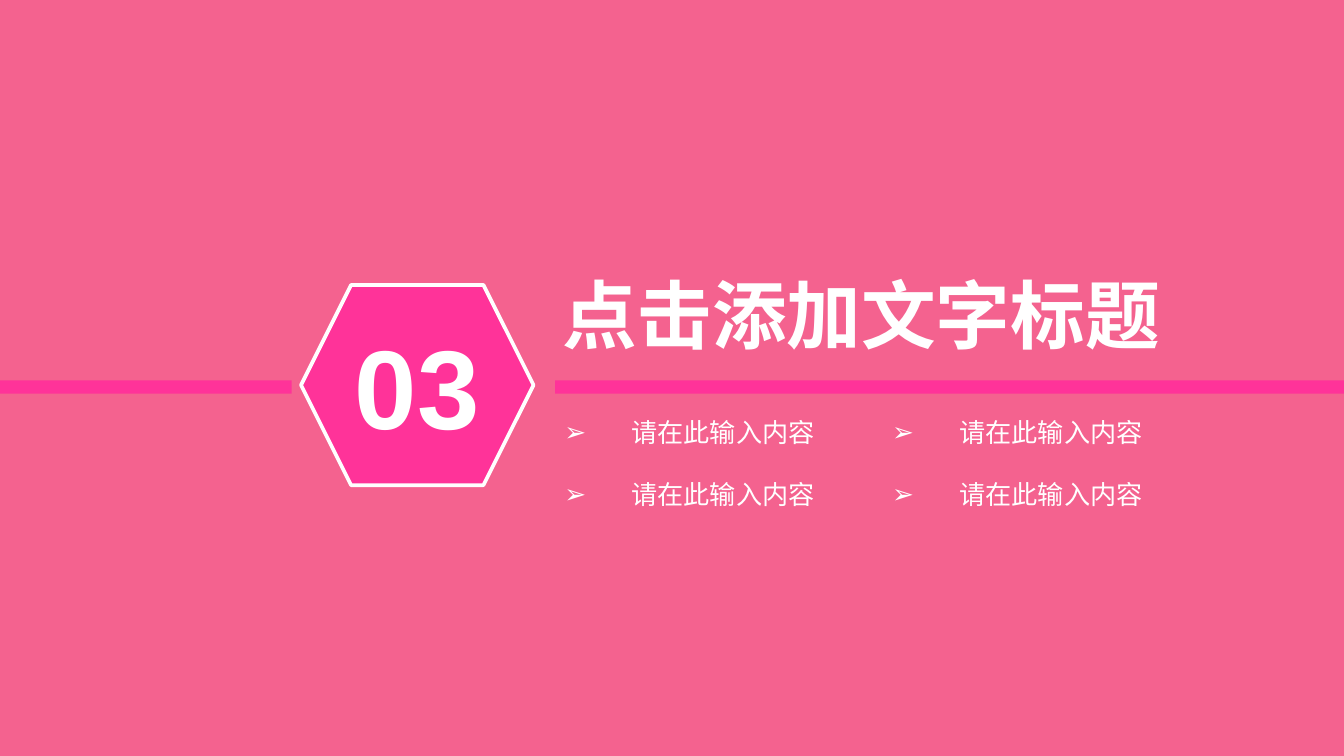
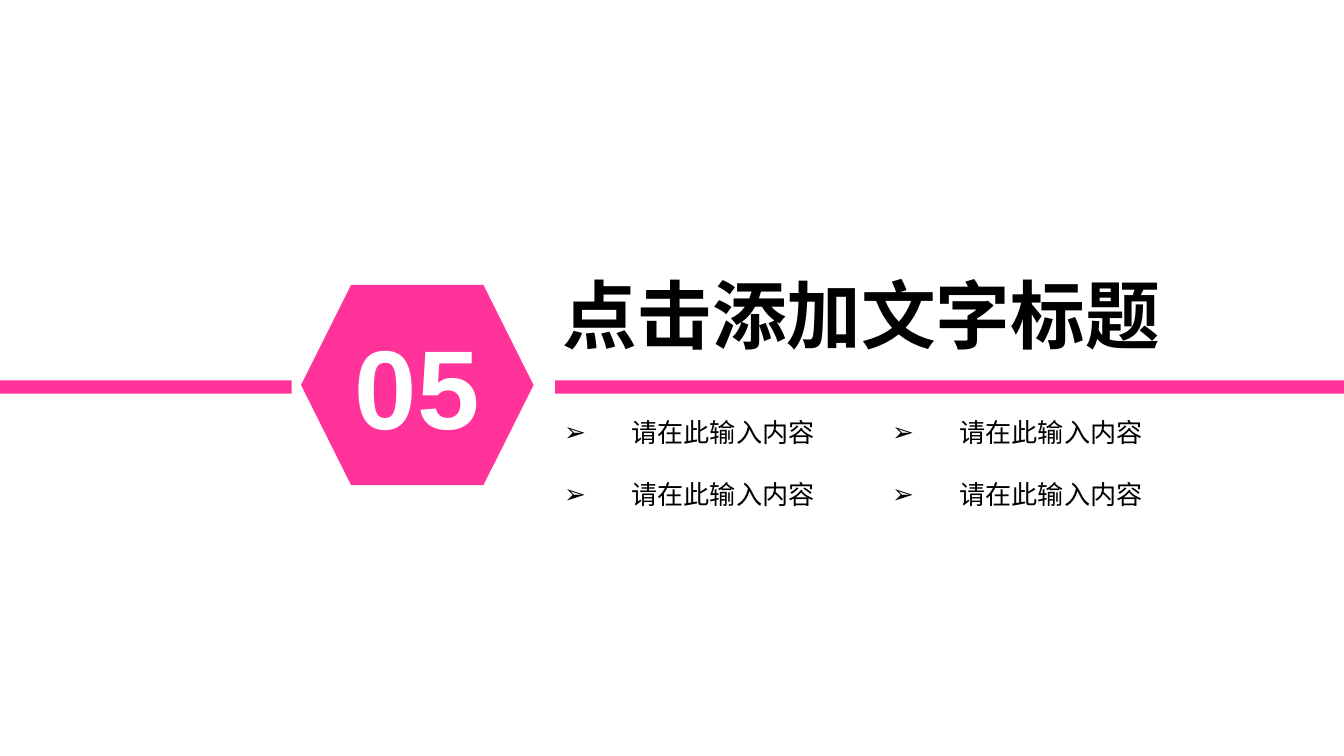
from itertools import product

from lxml import etree
from pptx import Presentation
from pptx.dml.color import RGBColor
from pptx.enum import shapes, text
from pptx.oxml.ns import qn
from pptx.util import Inches, Pt

PINK = RGBColor(0xF4, 0x62, 0x8F)
MAGENTA = RGBColor(0xFF, 0x33, 0x99)
WHITE = RGBColor(0xFF, 0xFF, 0xFF)
BLACK = RGBColor(0x00, 0x00, 0x00)
LATIN_FONT = "Arial"
CHINESE_FONT = "Noto Sans CJK SC"

HEADING = "点击添加文字标题"
TOPIC = "请在此输入内容"
TOPIC_COLUMNS = (4.1, 6.54)
TOPIC_ROWS = (3.05, 3.51)


class SectionDeck:
    def __init__(self):
        self.prs = Presentation()
        self.prs.slide_width = Inches(10)
        self.prs.slide_height = Inches(10) * 9 // 16
        self.slide = None
        self.ink = BLACK

    def new_slide(self, background, ink):
        self.slide = self.prs.slides.add_slide(self.prs.slide_layouts[6])
        fill = self.slide.background.fill
        fill.solid()
        fill.fore_color.rgb = background
        self.ink = ink

    def shape(self, kind, left, top, width, height):
        figure = self.slide.shapes.add_shape(
            kind, Inches(left), Inches(top), Inches(width), Inches(height))
        figure.shadow.inherit = False
        figure.fill.solid()
        figure.fill.fore_color.rgb = MAGENTA
        figure.line.fill.background()
        return figure

    def band(self, left, width):
        self.shape(shapes.MSO_SHAPE.RECTANGLE, left, 2.83, width, 0.1)

    def number(self, label, outline=None):
        badge = self.shape(shapes.MSO_SHAPE.HEXAGON, 2.24, 2.12, 1.73, 1.49)
        if outline is not None:
            badge.line.color.rgb = outline
            badge.line.width = Pt(2)
        frame = badge.text_frame
        frame.vertical_anchor = text.MSO_ANCHOR.MIDDLE
        paragraph = frame.paragraphs[0]
        paragraph.text = label
        paragraph.alignment = text.PP_ALIGN.CENTER
        self.style(paragraph, 60, WHITE, LATIN_FONT, bold=True)

    def text_line(self, words, left, top, width, height, size,
                  bold=False, bullet=None):
        box = self.slide.shapes.add_textbox(
            Inches(left), Inches(top), Inches(width), Inches(height))
        frame = box.text_frame
        frame.word_wrap = False
        frame.auto_size = text.MSO_AUTO_SIZE.SHAPE_TO_FIT_TEXT
        paragraph = frame.paragraphs[0]
        paragraph.text = words
        if bullet:
            self.add_bullet(paragraph, bullet)
        self.style(paragraph, size, self.ink, CHINESE_FONT, bold)

    @staticmethod
    def add_bullet(paragraph, symbol):
        properties = paragraph._p.get_or_add_pPr()
        properties.set("marL", str(Inches(0.5)))
        properties.set("indent", str(-Inches(0.5)))
        etree.SubElement(properties, qn("a:buFont"), typeface=LATIN_FONT)
        etree.SubElement(properties, qn("a:buChar"), char=symbol)

    @staticmethod
    def style(paragraph, size, color, typeface, bold=False):
        """Set the paragraph font for both Latin and East Asian characters."""
        font = paragraph.font
        font.size = Pt(size)
        font.bold = bold
        font.color.rgb = color
        font.name = typeface
        defaults = paragraph._p.pPr.find(qn("a:defRPr"))
        etree.SubElement(defaults, qn("a:ea"), typeface=typeface)

    def section(self, number, background, ink, topic_size, outline=None):
        self.new_slide(background, ink)
        self.band(0, 2.17)
        self.number(number, outline)
        self.band(4.13, 5.87)
        self.text_line(HEADING, 4.09, 1.95, 4.69, 0.77, 40, bold=True)
        for top, left in product(TOPIC_ROWS, TOPIC_COLUMNS):
            self.text_line(TOPIC, left, top, *topic_size, 14, bullet="➢")


def main():
    deck = SectionDeck()
    deck.section("03", PINK, WHITE, (2.08, 0.34), outline=WHITE)
    deck.section("05", WHITE, BLACK, (2.47, 0.4))
    deck.prs.save("out.pptx")


if __name__ == "__main__":
    main()
